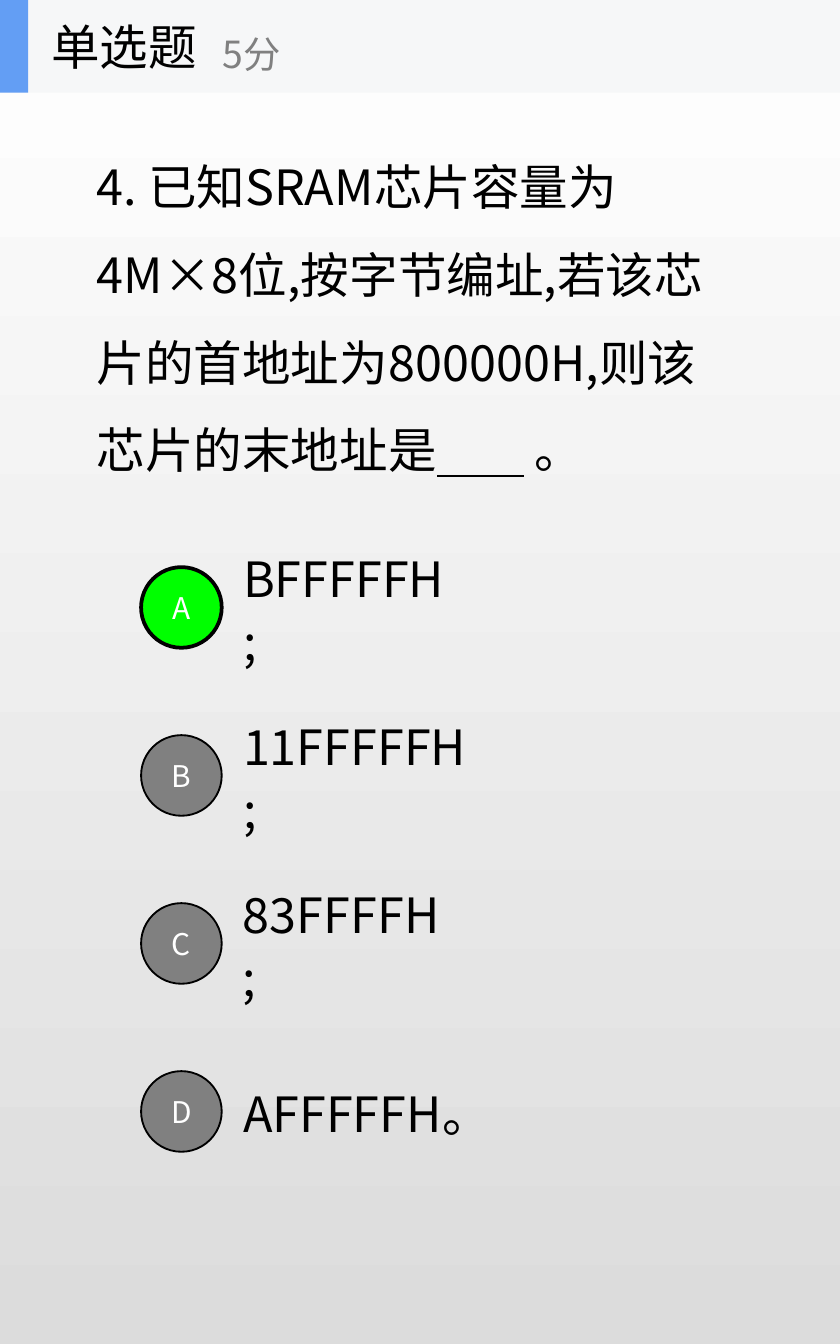
from dataclasses import dataclass

from lxml import etree
from pptx import Presentation
from pptx.dml.color import RGBColor
from pptx.enum.shapes import MSO_SHAPE
from pptx.enum.text import MSO_ANCHOR, MSO_AUTO_SIZE, PP_ALIGN
from pptx.oxml.ns import qn
from pptx.util import Inches, Pt

OVAL, RECTANGLE = MSO_SHAPE.OVAL, MSO_SHAPE.RECTANGLE
MIDDLE = MSO_ANCHOR.MIDDLE
LEFT, CENTER = PP_ALIGN.LEFT, PP_ALIGN.CENTER
GROW, FIXED = MSO_AUTO_SIZE.SHAPE_TO_FIT_TEXT, MSO_AUTO_SIZE.NONE


@dataclass(frozen=True)
class Theme:
    font: str = "Noto Sans CJK SC"
    text_size: int = 26
    score_size: int = 20
    letter_size: int = 16
    question_leading: int = 47
    option_leading: int = 34
    ink: str = "000000"
    muted: str = "808080"
    white: str = "FFFFFF"
    shade: str = "DCDCDC"
    band: str = "F6F7F8"
    accent: str = "639EF4"
    correct: str = "00FF00"


THEME = Theme()

HEADING = "单选题"
SCORE = "5分"
QUESTION = "4. 已知SRAM芯片容量为4M×8位,按字节编址,若该芯片的首地址为800000H,则该芯片的末地址是"
ANSWER_BLANK = " " * 8  # underlined, so it shows as a rule to fill in
QUESTION_END = " 。"
# letter, answer, width of the answer box, correct
OPTIONS = [
    ("A", "BFFFFFH;", 1.75, True),
    ("B", "11FFFFFH;", 1.95, False),
    ("C", "83FFFFH;", 1.76, False),
    ("D", "AFFFFFH。", 2.05, False),
]

HEADER_HEIGHT = 0.69
OPTION_TOP, OPTION_STEP = 4.22, 1.25
CIRCLE_LEFT, CIRCLE_SIZE = 1.05, 0.6
ANSWER_LEFT, ANSWER_HEIGHT, ANSWER_DROP = 1.71, 0.53, 0.03


def rgb(value):
    return RGBColor.from_string(value)


def place(shape, left, top, width, height):
    shape.left, shape.top = Inches(left), Inches(top)
    shape.width, shape.height = Inches(width), Inches(height)


def format_text(shape, size, color, align=LEFT, leading=None, fit=FIXED):
    """Style every paragraph and run already in the shape."""
    frame = shape.text_frame
    frame.word_wrap = True
    frame.auto_size = fit
    frame.vertical_anchor = MIDDLE
    for para in frame.paragraphs:
        para.alignment = align
        para.space_before = Pt(0)
        if leading:
            para.line_spacing = Pt(leading)
        for span in para.runs:
            span.font.name = THEME.font
            span.font.size = Pt(size)
            span.font.color.rgb = rgb(color)
            east_asian = etree.SubElement(span.font._element, qn("a:ea"))
            east_asian.set("typeface", THEME.font)


def add_text(page, text, bounds, **style):
    box = page.shapes.add_textbox(*map(Inches, bounds))
    box.text_frame.text = text
    format_text(box, **style)


def add_filled(page, kind, bounds, fill, line_width=0):
    shape = page.shapes.add_shape(kind, *map(Inches, bounds))
    shape.shadow.inherit = False
    shape.fill.solid()
    shape.fill.fore_color.rgb = rgb(fill)
    if line_width:
        shape.line.color.rgb = rgb(THEME.ink)
        shape.line.width = Pt(line_width)
    else:
        shape.line.fill.background()
    return shape


def paint_background(page):
    fill = page.background.fill
    fill.gradient()
    fill.gradient_angle = 270
    for stop, color in zip(fill.gradient_stops, (THEME.white, THEME.shade)):
        stop.color.rgb = rgb(color)


def fill_question(body):
    place(body, 0.62, 0.89, 4.73, 2.73)
    para = body.text_frame.paragraphs[0]
    para.text = QUESTION
    blank = para.add_run()
    blank.text = ANSWER_BLANK
    blank.font.underline = True
    para.add_run().text = QUESTION_END
    format_text(body, THEME.text_size, THEME.ink,
                leading=THEME.question_leading, fit=GROW)
    properties = para._p.get_or_add_pPr()
    properties.set("marL", "0")
    properties.set("indent", "0")
    etree.SubElement(properties, qn("a:buNone"))


def add_option(page, top, letter, answer, width, correct):
    add_text(page, answer,
             (ANSWER_LEFT, top + ANSWER_DROP, width, ANSWER_HEIGHT),
             size=THEME.text_size, color=THEME.ink,
             leading=THEME.option_leading, fit=GROW)
    circle = add_filled(page, OVAL, (CIRCLE_LEFT, top, CIRCLE_SIZE, CIRCLE_SIZE),
                        THEME.correct if correct else THEME.muted,
                        2 if correct else 1)
    circle.text_frame.text = letter
    format_text(circle, THEME.letter_size, THEME.white, CENTER)


def add_header(page, title):
    add_filled(page, RECTANGLE, (0, 0, 6.25, HEADER_HEIGHT), THEME.band)
    add_filled(page, RECTANGLE, (0, 0, 0.21, HEADER_HEIGHT), THEME.accent)
    place(title, 0.28, 0, 2.08, HEADER_HEIGHT)
    title.text_frame.text = HEADING
    format_text(title, THEME.text_size, THEME.ink)
    page.shapes._spTree.append(title._element)  # in front of the band
    add_text(page, SCORE, (1.56, 0.12, 2.5, 0.56),
             size=THEME.score_size, color=THEME.muted)


def main():
    deck = Presentation()
    deck.slide_width, deck.slide_height = Inches(6.25), Inches(10)
    page = deck.slides.add_slide(deck.slide_layouts[1])
    title, body = page.placeholders
    paint_background(page)
    fill_question(body)
    for index, option in enumerate(OPTIONS):
        add_option(page, OPTION_TOP + index * OPTION_STEP, *option)
    add_header(page, title)
    deck.save("out.pptx")


if __name__ == "__main__":
    main()
